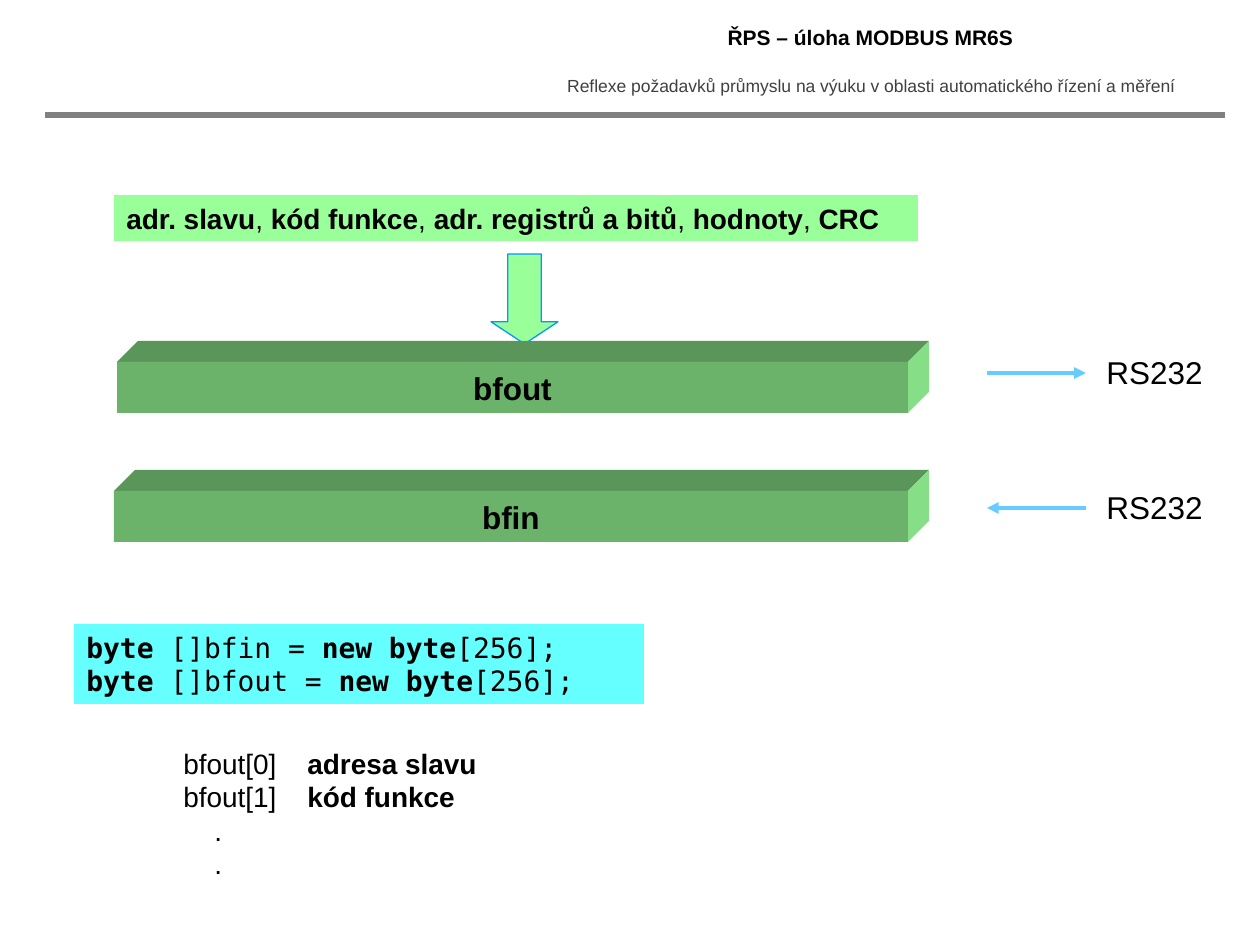
from lxml.etree import SubElement
from pptx import Presentation
from pptx.dml.color import RGBColor
from pptx.enum.shapes import MSO_CONNECTOR, MSO_SHAPE
from pptx.enum.text import MSO_ANCHOR, PP_ALIGN
from pptx.oxml.ns import qn
from pptx.util import Emu, Pt

PIXEL = 914400 // 126
BLACK = RGBColor(0x00, 0x00, 0x00)
DARK_GRAY = RGBColor(0x40, 0x40, 0x40)
GRAY = RGBColor(0x80, 0x80, 0x80)
LIGHT_GREEN = RGBColor(0x99, 0xFF, 0x99)
FRONT_GREEN = RGBColor(0x6B, 0xB3, 0x6B)
TOP_GREEN = RGBColor(0x5A, 0x96, 0x5A)
SIDE_GREEN = RGBColor(0x86, 0xDF, 0x86)
CYAN = RGBColor(0x66, 0xFF, 0xFF)
BLUE = RGBColor(0x00, 0x99, 0xFF)
SKY = RGBColor(0x66, 0xCC, 0xFF)
MONO = "DejaVu Sans Mono"


def px(*lengths):
    """Turn pixels into EMU lengths."""
    return [Emu(length * PIXEL) for length in lengths]


def paint(shape, fill, line=None):
    """Set a flat fill and an optional thin outline."""
    shape.shadow.inherit = False
    shape.fill.solid()
    shape.fill.fore_color.rgb = fill
    if line is None:
        shape.line.fill.background()
    else:
        shape.line.color.rgb = line
        shape.line.width = Pt(0.75)


def write(box, paragraphs, size=16, font="Arial", color=BLACK, align=PP_ALIGN.LEFT,
          anchor=MSO_ANCHOR.TOP, wrap=True):
    """Write paragraphs, each a list of (text, bold) pairs, into a box."""
    frame = box.text_frame
    frame.word_wrap = wrap
    frame.vertical_anchor = anchor
    for index, spans in enumerate(paragraphs):
        paragraph = frame.paragraphs[0] if index == 0 else frame.add_paragraph()
        paragraph.alignment = align
        for text, bold in spans:
            span = paragraph.add_run()
            span.text = text
            span.font.size = Pt(size)
            span.font.name = font
            span.font.bold = bold
            span.font.color.rgb = color


def add_text(page, place, paragraphs, **text_format):
    """Add a text box."""
    box = page.shapes.add_textbox(*px(*place))
    write(box, paragraphs, **text_format)
    return box


def add_panel(page, place, fill, paragraphs, **text_format):
    """Add a filled rectangle with text."""
    box = page.shapes.add_shape(MSO_SHAPE.RECTANGLE, *px(*place))
    paint(box, fill)
    write(box, paragraphs, **text_format)


def add_line(page, start, end, color, width, arrow=False):
    """Add a straight line, with an arrowhead at its end if wanted."""
    line = page.shapes.add_connector(MSO_CONNECTOR.STRAIGHT, *px(*start, *end))
    line.line.color.rgb = color
    line.line.width = Pt(width)
    if arrow:
        SubElement(line.line._get_or_add_ln(), qn("a:tailEnd"), type="triangle")
    SubElement(line._element.spPr, qn("a:effectLst"))


def add_face(page, points, fill):
    """Add a closed polygon."""
    builder = page.shapes.build_freeform(*points[0], scale=PIXEL)
    builder.add_line_segments(points[1:])
    paint(builder.convert_to_shape(), fill)


def add_buffer(page, left, top, name):
    """Add a named bar with a top face and a right face in depth."""
    right, bottom, depth = 908, top + 51, 21
    back_right, back_top = right + depth, top - depth
    add_face(page, [(left, top), (left + depth, back_top),
                    (back_right, back_top), (right, top)], TOP_GREEN)
    add_face(page, [(right, top), (back_right, back_top),
                    (back_right, bottom - depth), (right, bottom)], SIDE_GREEN)
    add_panel(page, (left, top, right - left, bottom - top), FRONT_GREEN, [[(name, True)]],
              size=18, align=PP_ALIGN.CENTER, anchor=MSO_ANCHOR.MIDDLE)


def add_port(page, y, outgoing):
    """Add a serial port label and the arrow of its direction."""
    ends = [(987, y), (1086, y)]
    start, end = ends if outgoing else ends[::-1]
    add_line(page, start, end, SKY, 2.25, arrow=True)
    add_text(page, (1094, y - 26, 122, 50), [[("RS232", False)]], size=18, wrap=False)


def add_byte_list(page):
    """Add the list of buffer bytes, aligned by a tab stop and an indent."""
    rows = [[("bfout[0]\t", False), ("adresa slavu", True)],
            [("bfout[1]\t", False), ("kód funkce", True)],
            [(".", False)], [(".", False)]]
    box = add_text(page, (171, 740, 323, 149), rows)
    tab, indent = px(124, 31)
    for index, paragraph in enumerate(box.text_frame.paragraphs):
        properties = paragraph._p.get_or_add_pPr()
        if index < 2:
            stops = SubElement(properties, qn("a:tabLst"))
            SubElement(stops, qn("a:tab"), pos=str(tab), algn="l")
        else:
            properties.set("marL", str(indent))
            properties.set("indent", "0")


def main():
    """Build the slide and save it."""
    deck = Presentation()
    deck.slide_width, deck.slide_height = px(1260, 945)
    page = deck.slides.add_slide(deck.slide_layouts[6])

    add_text(page, (542, 69, 658, 34),
             [[("Reflexe požadavků průmyslu na výuku v oblasti "
                "automatického řízení a měření", False)]],
             size=10, color=DARK_GRAY, align=PP_ALIGN.CENTER)
    add_line(page, (45, 115), (1225, 115), GRAY, 3)
    add_text(page, (541, 18, 659, 39), [[("ŘPS – úloha MODBUS MR6S", True)]],
             size=12, align=PP_ALIGN.CENTER)

    add_panel(page, (114, 195, 804, 46), LIGHT_GREEN, [[
        ("adr. slavu", True), (", ", False), ("kód funkce", True), (", ", False),
        ("adr. registrů a bitů", True), (", ", False), ("hodnoty", True),
        (", ", False), ("CRC", True)]])
    arrow = page.shapes.add_shape(MSO_SHAPE.DOWN_ARROW, *px(491, 254, 67, 90))
    arrow.adjustments[0], arrow.adjustments[1] = 0.5, 0.33
    paint(arrow, LIGHT_GREEN, BLUE)

    add_buffer(page, 117, 362, "bfout")
    add_buffer(page, 114, 491, "bfin")
    add_port(page, 373, outgoing=True)
    add_port(page, 508, outgoing=False)

    add_panel(page, (74, 624, 570, 80), CYAN,
              [[("byte", True), (f" []{name} = ", False), ("new byte", True),
                ("[256];", False)] for name in ("bfin", "bfout")], font=MONO)
    add_byte_list(page)
    deck.save("out.pptx")


main()
